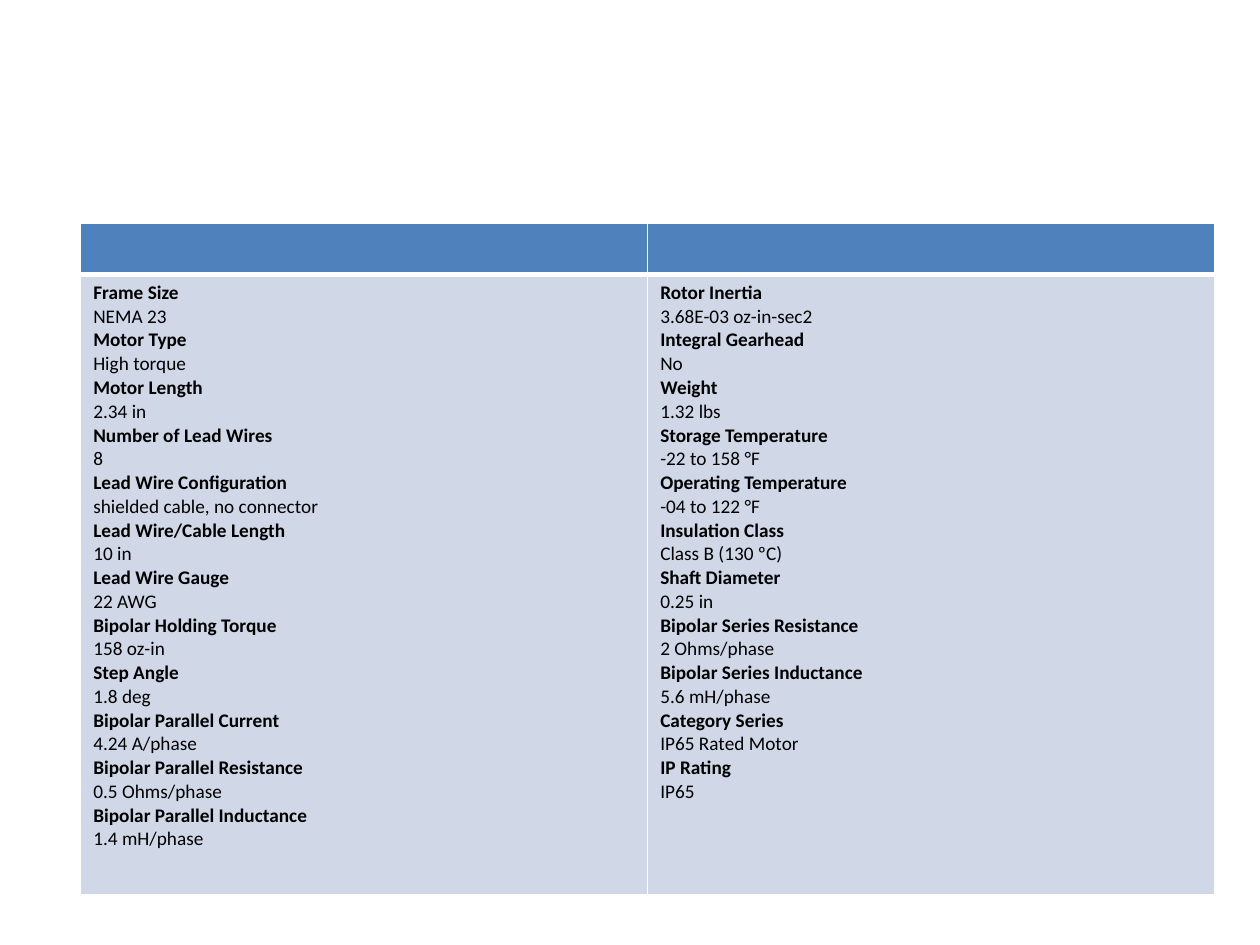
from pptx import Presentation
from pptx.dml.color import RGBColor
from pptx.oxml import parse_xml
from pptx.oxml.ns import nsdecls
from pptx.util import Inches, Pt

# Content: one list of (label, value) pairs per column
SPECS = [
    [
        ("Frame Size", "NEMA 23"),
        ("Motor Type", "High torque"),
        ("Motor Length", "2.34 in"),
        ("Number of Lead Wires", "8"),
        ("Lead Wire Configuration", "shielded cable, no connector"),
        ("Lead Wire/Cable Length", "10 in"),
        ("Lead Wire Gauge", "22 AWG"),
        ("Bipolar Holding Torque", "158 oz-in"),
        ("Step Angle", "1.8 deg"),
        ("Bipolar Parallel Current", "4.24 A/phase"),
        ("Bipolar Parallel Resistance", "0.5 Ohms/phase"),
        ("Bipolar Parallel Inductance", "1.4 mH/phase"),
    ],
    [
        ("Rotor Inertia", "3.68E-03 oz-in-sec2"),
        ("Integral Gearhead", "No"),
        ("Weight", "1.32 lbs"),
        ("Storage Temperature", "-22 to 158 °F"),
        ("Operating Temperature", "-04 to 122 °F"),
        ("Insulation Class", "Class B (130 ºC)"),
        ("Shaft Diameter", "0.25 in"),
        ("Bipolar Series Resistance", "2 Ohms/phase"),
        ("Bipolar Series Inductance", "5.6 mH/phase"),
        ("Category Series", "IP65 Rated Motor"),
        ("IP Rating", "IP65"),
    ],
]

THEME = {
    "font": "Calibri",
    "size": Pt(11),
    "text": RGBColor.from_string("000000"),
    "header": RGBColor.from_string("4F81BD"),
    "body": RGBColor.from_string("D0D8E8"),
    "border": "FFFFFF",
    "thin": Pt(1),
    "thick": Pt(3),
}
LEFT, TOP, WIDTH = 0.64, 1.77, 9
ROW_HEIGHTS = (0.41, 4.92)


def style_cell(cell, fill, top, bottom):
    """Borders go in before the fill, as the cell schema orders them."""
    tc_pr = cell._tc.get_or_add_tcPr()
    widths = {"L": THEME["thin"], "R": THEME["thin"], "T": top, "B": bottom}
    for side, width in widths.items():
        tc_pr.append(parse_xml(
            f'<a:ln{side} {nsdecls("a")} w="{int(width)}"><a:solidFill>'
            f'<a:srgbClr val="{THEME["border"]}"/></a:solidFill></a:ln{side}>'))
    cell.fill.solid()
    cell.fill.fore_color.rgb = fill


def write_specs(tf, specs):
    lines = [line for pair in specs for line in pair]
    tf.text = "\n".join(lines)
    for i, p in enumerate(tf.paragraphs):
        font = p.runs[0].font
        font.name, font.size = THEME["font"], THEME["size"]
        font.bold = i % 2 == 0
        font.color.rgb = THEME["text"]


def main():
    prs = Presentation()
    prs.slide_width, prs.slide_height = Inches(10), Inches(7.5)
    s = prs.slides.add_slide(prs.slide_layouts[6])

    # Specification table
    table = s.shapes.add_table(
        len(ROW_HEIGHTS), len(SPECS), Inches(LEFT), Inches(TOP),
        Inches(WIDTH), Inches(sum(ROW_HEIGHTS))).table
    for row, height in zip(table.rows, ROW_HEIGHTS):
        row.height = Inches(height)

    # Empty header above each column of specs
    for col, specs in enumerate(SPECS):
        table.columns[col].width = Inches(WIDTH / len(SPECS))
        header, body = table.cell(0, col), table.cell(1, col)
        style_cell(header, THEME["header"], THEME["thin"], THEME["thick"])
        style_cell(body, THEME["body"], THEME["thick"], THEME["thin"])
        write_specs(body.text_frame, specs)

    prs.save("out.pptx")


if __name__ == "__main__":
    main()
